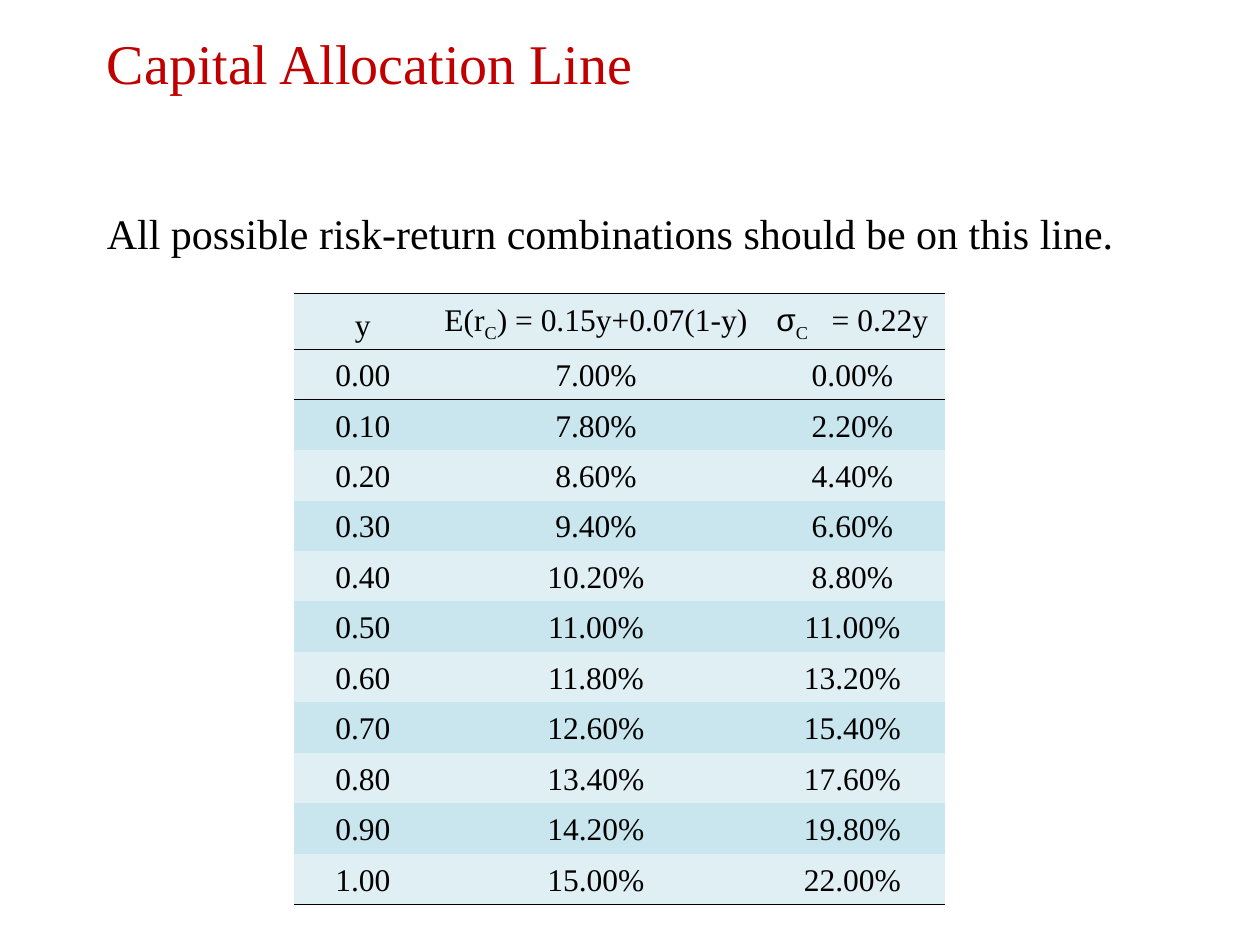
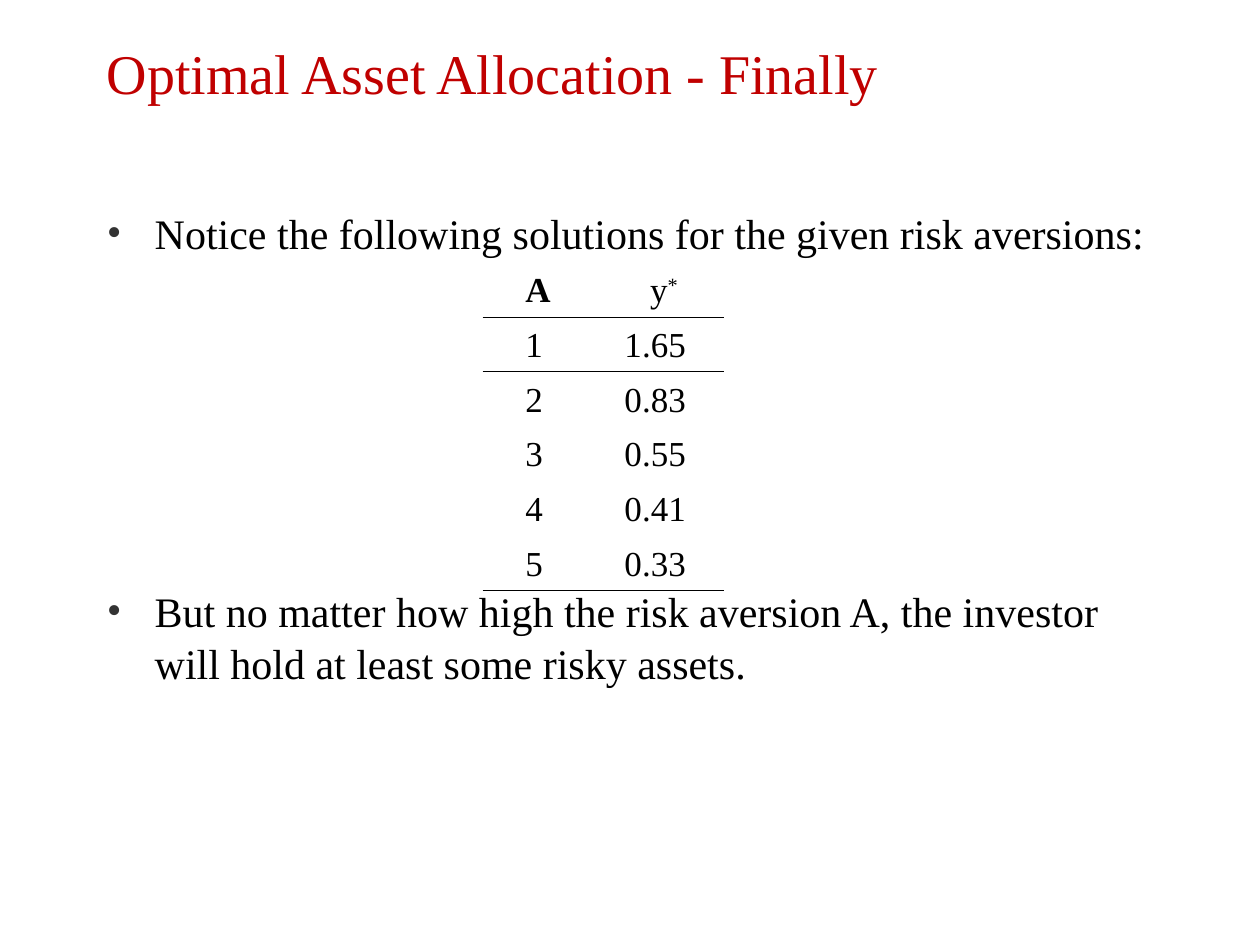
"""Builds two slides on capital allocation, each with a title, body text and a table."""
from pptx import Presentation
from pptx.dml.color import RGBColor
from pptx.enum.text import MSO_ANCHOR as Anchor, PP_ALIGN as Align
from pptx.oxml.ns import qn
from pptx.util import Inches, Pt
from lxml.etree import SubElement

COLORS = {"title": "C00000", "text": "000000", "bullet": "333333", "rule": "000000",
          "light": "E0EFF4", "dark": "C9E5ED"}
SERIF, SANS = "Times New Roman", "Arial"
WIDTH, HEIGHT = 10, 7.5
LEFT, TEXT_WIDTH = 0.75, 8.5
BODY_TOP, BODY_HEIGHT = 1.58, 5.25
HANG = 0.38
CELL_INSET = 0.01
LINE, TITLE_LINE, PARAGRAPH_GAP = 30, 39, 6
NO_STYLE = "{2D5ABB26-0587-4C30-8999-92F81FD0307C}"

SUB, SUPER = {"baseline": -25000}, {"baseline": 30000}

SLIDES = [
    {
        "title": "Capital Allocation Line",
        "title_box": (0.17, 0.83),
        "bulleted": False,
        "body": ["All possible risk-return combinations should be on this line."],
        "table": {
            "at": (2.33, 2.33), "columns": (1.1, 2.6, 1.47), "row": 0.35, "size": 18,
            "bands": ("light", "dark"), "top_rule": True, "header_insets": (0.01, 0.01, 0.01),
            "header": [
                [("y", {})],
                [("E(r", {}), ("C", SUB), (") = 0.15y+0.07(1-y)", {})],
                [("σ", {"font": SANS}), ("C", SUB), (" ", {"spc": 900}), ("= 0.22y", {})],
            ],
            "rows": [
                ("0.00", "7.00%", "0.00%"),
                ("0.10", "7.80%", "2.20%"),
                ("0.20", "8.60%", "4.40%"),
                ("0.30", "9.40%", "6.60%"),
                ("0.40", "10.20%", "8.80%"),
                ("0.50", "11.00%", "11.00%"),
                ("0.60", "11.80%", "13.20%"),
                ("0.70", "12.60%", "15.40%"),
                ("0.80", "13.40%", "17.60%"),
                ("0.90", "14.20%", "19.80%"),
                ("1.00", "15.00%", "22.00%"),
            ],
        },
    },
    {
        "title": "Optimal Asset Allocation - Finally",
        "title_box": (0.25, 0.92),
        "bulleted": True,
        "body": [
            "Notice the following solutions for the given risk aversions:",
            "But no matter how high the risk aversion A, the investor will hold "
            "at least some risky assets.",
        ],
        "lines_between": 5,
        "table": {
            "at": (3.83, 2.08), "columns": (0.82, 1.1), "row": 0.39, "size": 20,
            "bands": None, "top_rule": False, "header_insets": (0.07, 0.15),
            "header": [[("A", {"bold": True})], [("y", {}), ("*", SUPER)]],
            "rows": [("1", "1.65"), ("2", "0.83"), ("3", "0.55"), ("4", "0.41"), ("5", "0.33")],
        },
    },
]


def color(name):
    return RGBColor.from_string(COLORS[name])


def add_run(paragraph, text, size, ink="text", font=SERIF, bold=False, **attributes):
    run = paragraph.add_run()
    run.text = text
    run.font.name, run.font.size, run.font.bold = font, Pt(size), bold
    run.font.color.rgb = color(ink)
    for key, value in attributes.items():
        run.font._element.set(key, str(value))


def add_frame(slide, top, height):
    box = slide.shapes.add_textbox(Inches(LEFT), Inches(top), Inches(TEXT_WIDTH), Inches(height))
    box.text_frame.word_wrap = True
    return box.text_frame


def add_title(slide, title, top, height):
    paragraph = add_frame(slide, top, height).paragraphs[0]
    paragraph.line_spacing = Pt(TITLE_LINE)
    add_run(paragraph, title, 32, "title")


def add_bullet(properties):
    ink = SubElement(properties, qn("a:buClr"))
    SubElement(ink, qn("a:srgbClr"), val=COLORS["bullet"])
    SubElement(properties, qn("a:buFont"), typeface=SERIF)
    SubElement(properties, qn("a:buChar"), char="•")


def add_body(slide, texts, bulleted, lines_between=0):
    frame = add_frame(slide, BODY_TOP, BODY_HEIGHT)
    for index, text in enumerate(texts):
        paragraph = frame.add_paragraph() if index else frame.paragraphs[0]
        paragraph.line_spacing = Pt(LINE)
        if index:
            paragraph.space_before = Pt(lines_between * (LINE + PARAGRAPH_GAP) + PARAGRAPH_GAP)
        properties = paragraph._p.get_or_add_pPr()
        properties.set("marL", str(Inches(HANG)))
        properties.set("indent", str(-Inches(HANG)))
        if bulleted:
            add_bullet(properties)
        add_run(paragraph, text, 24)


def add_rule(cell, side):
    rule = SubElement(cell._tc.get_or_add_tcPr(), qn(f"a:{side}"), w=str(Pt(0.23)))
    fill = SubElement(rule, qn("a:solidFill"))
    SubElement(fill, qn("a:srgbClr"), val=COLORS["rule"])


def fill_cell(cell, runs, size, inset, sides, band):
    cell.vertical_anchor = Anchor.BOTTOM
    cell.margin_left, cell.margin_right = Inches(inset), Inches(CELL_INSET)
    for side in sides:
        add_rule(cell, side)
    if band:
        cell.fill.solid()
        cell.fill.fore_color.rgb = color(band)
    else:
        cell.fill.background()
    paragraph = cell.text_frame.paragraphs[0]
    paragraph.alignment = Align.CENTER
    for text, style in runs:
        add_run(paragraph, text, size, **style)


def add_grid(slide, spec_of):
    columns, bands = spec_of["columns"], spec_of["bands"]
    lines = [spec_of["header"]] + [[[(value, {})] for value in row] for row in spec_of["rows"]]
    left, top = spec_of["at"]
    grid = slide.shapes.add_table(
        len(lines), len(columns), Inches(left), Inches(top),
        Inches(sum(columns)), Inches(spec_of["row"] * len(lines))).table
    grid.first_row = grid.horz_banding = False
    grid._tbl.tblPr.find(qn("a:tableStyleId")).text = NO_STYLE
    for column, width in zip(grid.columns, columns):
        column.width = Inches(width)
    for r, line in enumerate(lines):
        sides = ["lnT"] if r == 1 or (r == 0 and spec_of["top_rule"]) else []
        if r in (0, len(lines) - 1):
            sides.append("lnB")
        band = bands[max(r - 1, 0) % 2] if bands else None
        for c, runs in enumerate(line):
            inset = CELL_INSET if r else spec_of["header_insets"][c]
            fill_cell(grid.cell(r, c), runs, spec_of["size"], inset, sides, band)


def main():
    deck = Presentation()
    deck.slide_width, deck.slide_height = Inches(WIDTH), Inches(HEIGHT)
    for content in SLIDES:
        slide = deck.slides.add_slide(deck.slide_layouts[6])
        add_title(slide, content["title"], *content["title_box"])
        add_body(slide, content["body"], content["bulleted"], content.get("lines_between", 0))
        add_grid(slide, content["table"])
    deck.save("out.pptx")


if __name__ == "__main__":
    main()
